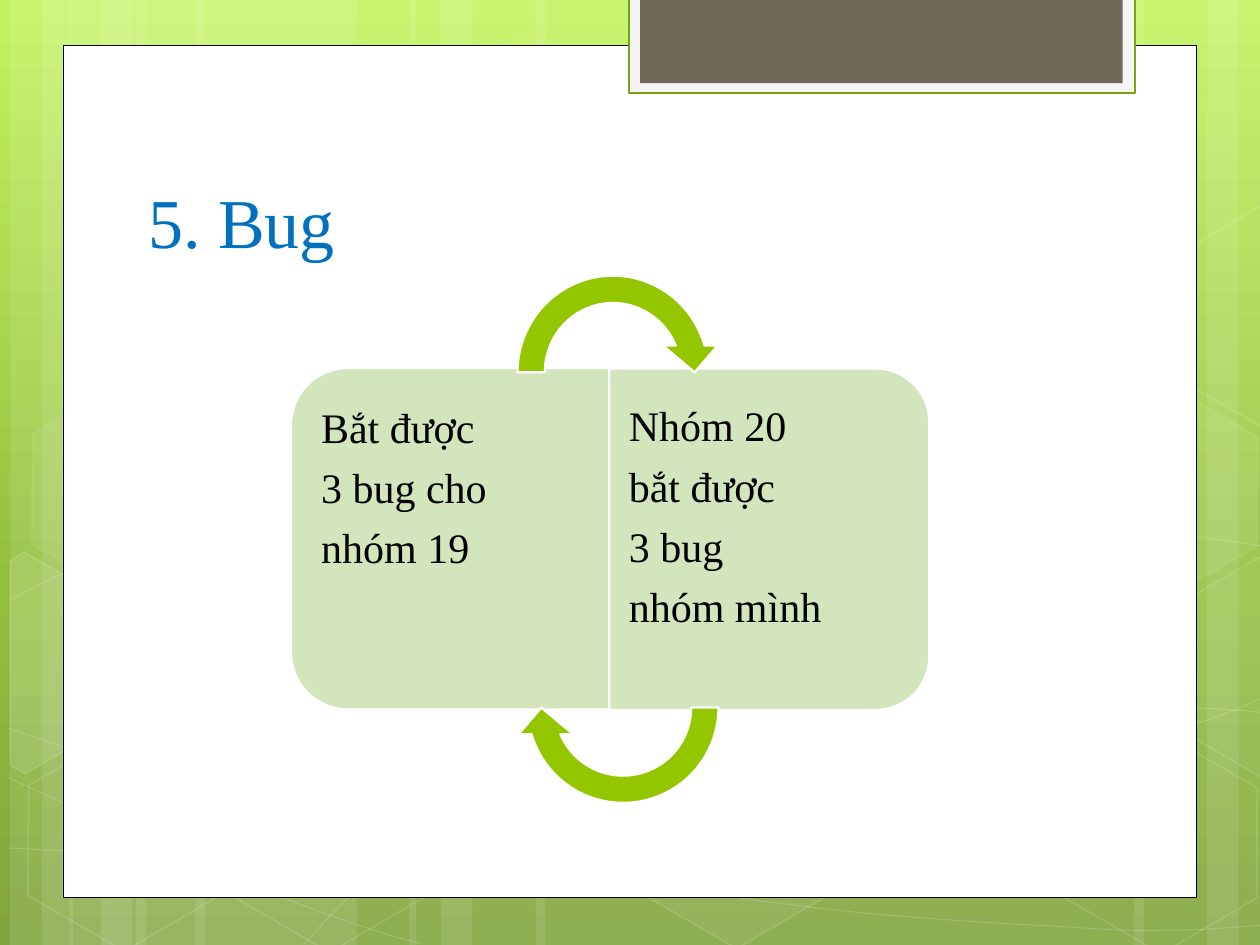
from copy import deepcopy
from math import cos, radians, sin

from lxml import etree
from pptx import Presentation
from pptx.dml.color import RGBColor
from pptx.enum.shapes import MSO_SHAPE
from pptx.enum.text import MSO_ANCHOR
from pptx.oxml.ns import qn
from pptx.util import Cm, Pt

RECTANGLE = MSO_SHAPE.RECTANGLE
HEXAGON = MSO_SHAPE.HEXAGON
ROUNDED_SIDE = MSO_SHAPE.ROUND_2_SAME_RECTANGLE
CIRCULAR_ARROW = MSO_SHAPE.CIRCULAR_ARROW
TOP, BOTTOM = MSO_ANCHOR.TOP, MSO_ANCHOR.BOTTOM

COLORS = {
    "white": "FFFFFF", "black": "000000", "title": "0070C0",
    "tab_edge": "F5F5F5", "tab_line": "74A510", "tab": "71685A",
    "panel": "D2E5BD", "arrow": "94C600",
}
BACKGROUND = [(0, "C3F35F"), (0.62, "93BF3F"), (1, "81A53E")]
TILT = 30

# Vertical bands: left edge, width and rotation
BANDS = [
    (1.08, 1.75, 0), (0.08, 0.5, 0), (0.33, 0.83, 0), (1.55, 1.75, 0), (0.55, 0.5, 0),
    (0.8, 0.83, 0), (7.33, 1.75, 180), (9.58, 0.5, 180), (9, 0.83, 180),
    (4.25, 3.08, 0), (3.25, 0.5, 0), (3.5, 0.83, 0),
]
# Bezier curves: start point, then two control points and an end point per segment
CURVES = [
    [(0.07, 6.73), (0.61, 6.76), (1.15, 6.79), (1.9, 6.78), (2.65, 6.77), (3.58, 6.75),
     (4.58, 6.65), (5.58, 6.55), (7, 6.36), (7.92, 6.17), (8.83, 5.98), (9.77, 5.68),
     (10.07, 5.51)],
    [(0.07, 4.77), (0.36, 4.61), (0.65, 4.46), (1.21, 4.31), (1.78, 4.16), (2.59, 3.94),
     (3.47, 3.87), (4.36, 3.8), (5.44, 3.79), (6.54, 3.87), (7.64, 3.95), (9.47, 4.26),
     (10.07, 4.34)],
    [(0.06, 6.17), (1.27, 6.72), (2.47, 7.27), (3.34, 7.49)],
    [(0.07, 5.78), (0.38, 5.89), (0.7, 6), (1.28, 6.16), (1.86, 6.31), (2.73, 6.56),
     (3.57, 6.73), (4.4, 6.9), (5.45, 7.08), (6.28, 7.18), (7.11, 7.29), (8, 7.33),
     (8.53, 7.36), (9.05, 7.4), (9.19, 7.38), (9.45, 7.38), (9.71, 7.37), (9.89, 7.35),
     (10.07, 7.34)],
    [(2.42, 7.49), (2.6, 7.29), (2.78, 7.09), (3.02, 6.91), (3.26, 6.73), (3.6, 6.53),
     (3.88, 6.39), (4.16, 6.25), (4.33, 6.19), (4.7, 6.09), (5.06, 5.99), (5.73, 5.85),
     (6.08, 5.78), (6.44, 5.71), (6.49, 5.71), (6.8, 5.69), (7.11, 5.66), (7.6, 5.63),
     (7.94, 5.62), (8.29, 5.61), (8.86, 5.62), (8.86, 5.62), (9.08, 5.62), (9.31, 5.62),
     (9.53, 5.62), (9.71, 5.63), (9.88, 5.64), (9.97, 5.65), (10.06, 5.66), (10.03, 5.65),
     (10.06, 5.66)],
]
# Whole hexagons: left, top, fill opacity, line opacity (percent)
HEXAGONS = [
    (3.34, 0.36, 4, 8), (4.97, 5.89, 6, 12), (0.11, 5.91, 0, 12), (0.14, 3.12, 7, 8),
    (1.74, 5.92, 0, 12), (7.53, 4.53, 10, 12), (8.34, 5.93, 0, 12), (8.34, 3.14, 7, 8),
]
# Hexagons cut by the slide edge: fill opacity, centre and corners
CUT_HEXAGONS = [
    (10, (0.36, 5.35), [(0.08, 4.45), (0.19, 4.38), (0.96, 4.82), (0.95, 5.7),
                        (0.2, 6.14), (0.08, 6.07)]),
    (4, (9.85, 5.2), [(9.26, 4.85), (10.01, 4.41), (10.09, 4.46), (10.09, 6.13),
                      (10.02, 6.17), (9.26, 5.73)]),
    (0, (9.85, 2.41), [(9.26, 2.07), (10.01, 1.63), (10.1, 1.68), (10.09, 3.35),
                       (10.02, 3.39), (9.26, 2.95)]),
]


def inches(value):
    """Turn inches into a Cm length."""
    return Cm(value * 2.54)


def turn_back(point, center):
    """Turn a point about a centre against the tilt."""
    x, y = point[0] - center[0], point[1] - center[1]
    cosine, sine = cos(radians(TILT)), sin(radians(TILT))
    return center[0] + x * cosine + y * sine, center[1] - x * sine + y * cosine


class SlideBuilder:
    """Holds the style and the current slide."""

    font_name = "Times New Roman"

    def __init__(self, slide):
        """Keep the slide to draw on."""
        self.slide = slide

    def background(self, stops):
        """Fill the background with a gradient running downwards."""
        fill = self.slide.background.fill
        fill.gradient()
        fill.gradient_angle = 270
        stop_list = next(self.slide.element.iter(qn("a:gsLst")))
        stop_list.append(deepcopy(stop_list[0]))
        for stop, (position, color) in zip(fill.gradient_stops, stops):
            stop.position = position
            stop.color.rgb = RGBColor.from_string(color)

    def paint(self, fill, color, opacity):
        """Set a solid colour, or nothing when it would not show."""
        if not color or not opacity:
            fill.background()
            return
        fill.solid()
        fill.fore_color.rgb = RGBColor.from_string(COLORS[color])

    def style(self, shape, fill, line, width, fill_opacity=100, line_opacity=100):
        """Set fill, line and opacity, and drop the shadow."""
        shape.shadow.inherit = False
        self.paint(shape.fill, fill, fill_opacity)
        self.paint(shape.line.fill, line, line_opacity)
        if line:
            shape.line.width = Pt(width)
        properties = shape.element.spPr
        for owner, opacity in ((properties, fill_opacity),
                               (properties.find(qn("a:ln")), line_opacity)):
            color = owner.find(qn("a:solidFill") + "/" + qn("a:srgbClr"))
            if color is not None and opacity < 100:
                etree.SubElement(color, qn("a:alpha"), val=str(opacity * 1000))

    def shape(self, kind, box, fill=None, line=None, width=1, rotation=0, adjustments=(),
              **opacities):
        """Add a preset shape."""
        shape = self.slide.shapes.add_shape(kind, *map(inches, box))
        shape.rotation = rotation
        for index, value in enumerate(adjustments):
            shape.adjustments[index] = value
        self.style(shape, fill, line, width, **opacities)

    def outline(self, points, close):
        """Add an outline through the points."""
        corners = [(inches(x), inches(y)) for x, y in points]
        builder = self.slide.shapes.build_freeform(*corners[0])
        builder.add_line_segments(corners[1:], close=close)
        return builder.convert_to_shape()

    def curve(self, points, width, opacity):
        """Add a white Bezier curve."""
        shape = self.outline(points, close=False)
        path = next(shape.element.iter(qn("a:path")))
        lines = path.findall(qn("a:lnTo"))
        for start in range(0, len(lines), 3):
            segment = etree.SubElement(path, qn("a:cubicBezTo"))
            for line in lines[start:start + 3]:
                segment.append(line[0])
                path.remove(line)
        self.style(shape, None, "white", width, line_opacity=opacity)

    def tilted_polygon(self, points, center, **opacities):
        """Add a white polygon that is turned by the tilt."""
        shape = self.outline([turn_back(point, center) for point in points], close=True)
        shape.rotation = TILT
        self.style(shape, "white", "white", 1, **opacities)

    def text(self, box, lines, size, color, insets=(0.1, 0.05, 0.1, 0.05), anchor=TOP,
             line_spacing=1.0, space_after=0):
        """Add a text box with one paragraph per line."""
        frame = self.slide.shapes.add_textbox(*map(inches, box)).text_frame
        frame.word_wrap = True
        frame.vertical_anchor = anchor
        (frame.margin_left, frame.margin_top,
         frame.margin_right, frame.margin_bottom) = map(inches, insets)
        frame.text = "\n".join(lines)
        for paragraph in frame.paragraphs:
            paragraph.line_spacing = line_spacing
            paragraph.space_after = Pt(space_after)
            paragraph.font.name = self.font_name
            paragraph.font.size = Pt(size)
            paragraph.font.color.rgb = RGBColor.from_string(COLORS[color])


def draw_backdrop(builder):
    """Draw bands, curves, hexagons, the page and its tab."""
    builder.background(BACKGROUND)
    for left, width, rotation in BANDS:
        builder.shape(RECTANGLE, (left, 0, width, 7.5), "white", rotation=rotation,
                      fill_opacity=10)
    for points in CURVES:
        builder.curve(points, 0.5, 20)
    for left, top, fill_opacity, line_opacity in HEXAGONS:
        builder.shape(HEXAGON, (left, top, 1.75, 1.52), "white", "white", rotation=TILT,
                      adjustments=(0.285, 1.155), fill_opacity=fill_opacity,
                      line_opacity=line_opacity)
    for fill_opacity, center, corners in CUT_HEXAGONS:
        builder.tilted_polygon(corners, center, fill_opacity=fill_opacity, line_opacity=12)
    builder.shape(RECTANGLE, (0.5, 0.36, 9, 6.76), "white", "black", 0.5)
    builder.shape(RECTANGLE, (4.99, -0.02, 4.02, 0.76), "tab_edge", "tab_line", 1.25)
    builder.shape(RECTANGLE, (5.08, -0.02, 3.83, 0.68), "tab")


def draw_bug_exchange(builder):
    """Draw the title, the two panels and the arrows between them."""
    builder.text((1.08, 1.09, 7.68, 1.04), ["5. Bug"], 40, "title", anchor=BOTTOM)
    panels = [
        ((3.02, 2.21, 2.71, 4.13), 270, (2.45, 3.06, 3.99, 2.44), (0.1, 0.17, 0.15, 0.17),
         ["Bắt được", "3 bug cho", "nhóm 19"]),
        ((4.75, 3.01, 2.71, 2.54), 90, (4.84, 3.05, 2.42, 2.46), (0.15, 0.17, 0.1, 0.17),
         ["Nhóm 20", "bắt được", "3 bug", "nhóm mình"]),
    ]
    for box, rotation, text_box, insets, lines in panels:
        builder.shape(ROUNDED_SIDE, box, "panel", "white", 1.25, rotation, (0.167, 0))
        builder.text(text_box, lines, 24, "black", insets, line_spacing=0.9, space_after=8.4)
    for box, rotation in (((4, 2.08, 1.73, 1.75), 0), ((4.08, 4.75, 1.73, 1.73), 180)):
        builder.shape(CIRCULAR_ARROW, box, "arrow", "white", 1.25, rotation,
                      (0.125, 11.42, 204.58, 108, 0.125))


def main():
    """Build and save the presentation."""
    presentation = Presentation()
    presentation.slide_width, presentation.slide_height = Cm(25.4), Cm(19.05)
    builder = SlideBuilder(presentation.slides.add_slide(presentation.slide_layouts[6]))
    draw_backdrop(builder)
    draw_bug_exchange(builder)
    presentation.save("out.pptx")


main()
